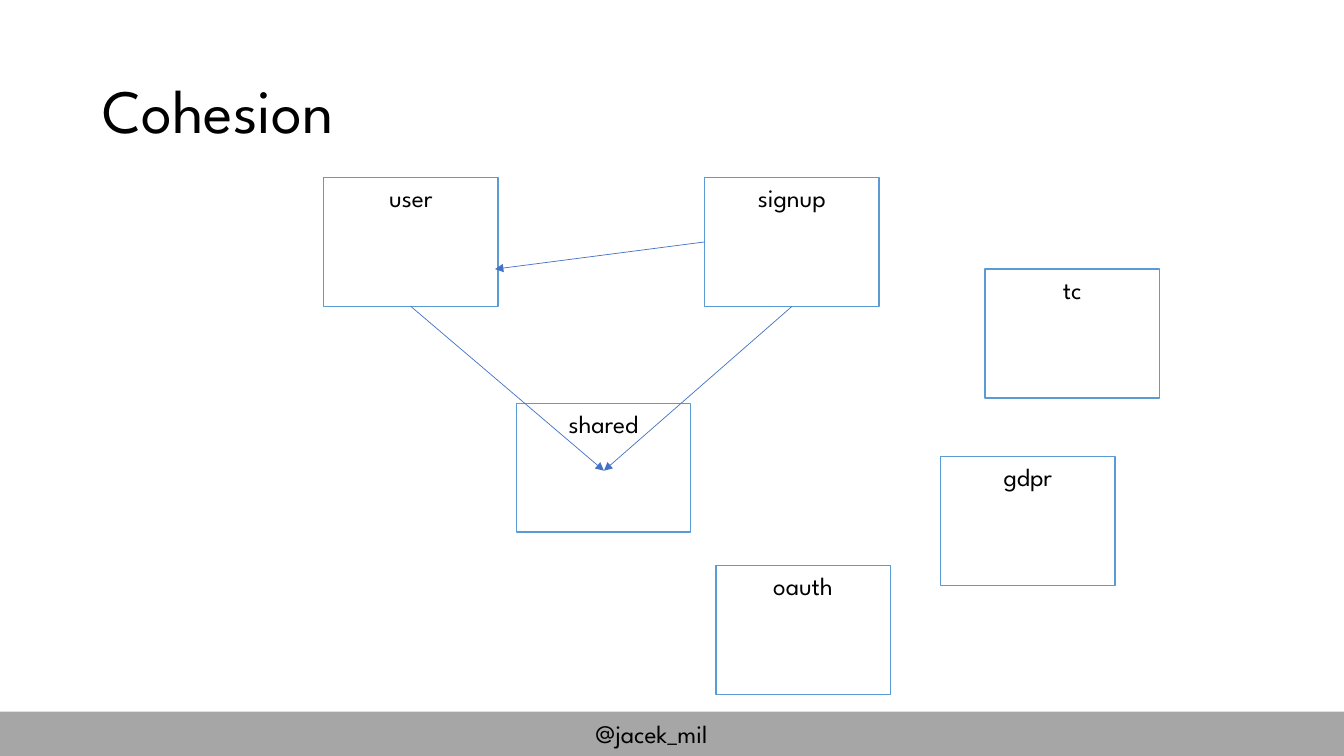
"""Build the Cohesion slide: modules and their dependencies."""
from lxml.etree import SubElement
from pptx import Presentation
from pptx.dml.color import RGBColor
from pptx.enum.shapes import MSO_CONNECTOR, MSO_SHAPE
from pptx.enum.text import MSO_ANCHOR, PP_ALIGN
from pptx.oxml.ns import qn
from pptx.util import Inches, Pt

FONT = "League Spartan"
COLORS = {
    "text": "000000",
    "box": "FFFFFF",
    "border": "5B9BD5",
    "arrow": "4472C4",
    "footer": "A6A6A6",
}
BOX_W, BOX_H = 1.73, 1.28
LEFT, BOTTOM = 1, 2
MODULES = {
    "shared": (5.12, 4),
    "user": (3.21, 1.76),
    "signup": (6.99, 1.76),
    "tc": (9.77, 2.67),
    "oauth": (7.1, 5.61),
    "gdpr": (9.33, 4.53),
}
SHARED_CENTER = (5.99, 4.67)
USER_EDGE = (4.91, 2.67)
ARROWS = [
    ("user", BOTTOM, SHARED_CENTER),
    ("signup", BOTTOM, SHARED_CENTER),
    ("signup", LEFT, USER_EDGE),
]


def color(name):
    """Return the named colour."""
    return RGBColor.from_string(COLORS[name])


def write(tf, text, size=18, align=PP_ALIGN.LEFT):
    """Write one formatted run and return its paragraph."""
    p = tf.paragraphs[0]
    p.alignment = align
    r = p.add_run()
    r.text = text
    r.font.size = Pt(size)
    r.font.name = FONT
    r.font.color.rgb = color("text")
    return p


def add_rect(s, x, y, w, h, fill):
    """Add a flat borderless rectangle."""
    sp = s.shapes.add_shape(MSO_SHAPE.RECTANGLE, Inches(x), Inches(y), Inches(w), Inches(h))
    sp.shadow.inherit = False
    sp.fill.solid()
    sp.fill.fore_color.rgb = color(fill)
    sp.line.fill.background()
    return sp


def add_module(s, name, x, y):
    """Add a bordered module box with its name at the top."""
    sp = add_rect(s, x, y, BOX_W, BOX_H, "box")
    sp.line.color.rgb = color("border")
    sp.line.width = Pt(1)
    sp.text_frame.vertical_anchor = MSO_ANCHOR.TOP
    write(sp.text_frame, name, align=PP_ALIGN.CENTER)
    return sp


def add_arrow(s, box, site, end):
    """Add an arrow from a side of a box to a point."""
    x, y = map(Inches, end)
    c = s.shapes.add_connector(MSO_CONNECTOR.STRAIGHT, x, y, x, y)
    c.begin_connect(box, site)
    c.line.color.rgb = color("arrow")
    c.line.width = Pt(0.5)
    props = c.element.spPr
    SubElement(props.find(qn("a:ln")), qn("a:tailEnd"), type="triangle")
    SubElement(props, qn("a:effectLst"))


def add_footer(s):
    """Add the footer band and the author's handle."""
    add_rect(s, 0, 7.06, 13.33, 0.44, "footer")
    tb = s.shapes.add_textbox(Inches(5.81), Inches(7.08), Inches(1.71), Inches(0.4))
    tb.text_frame.word_wrap = True
    write(tb.text_frame, "@jacek_mil")


def set_title(s, text):
    """Place and format the title."""
    sp = s.shapes.title
    sp.left, sp.top, sp.width, sp.height = map(Inches, (0.92, 0.4, 11.5, 1.45))
    sp.text_frame.vertical_anchor = MSO_ANCHOR.MIDDLE
    write(sp.text_frame, text, 44).line_spacing = 0.9


def main():
    """Build and save the slide."""
    prs = Presentation()
    prs.slide_width, prs.slide_height = Inches(13.33), Inches(7.5)
    s = prs.slides.add_slide(prs.slide_layouts[5])
    set_title(s, "Cohesion")
    add_footer(s)
    boxes = {name: add_module(s, name, x, y) for name, (x, y) in MODULES.items()}
    for name, site, end in ARROWS:
        add_arrow(s, boxes[name], site, end)
    prs.save("out.pptx")


if __name__ == "__main__":
    main()
